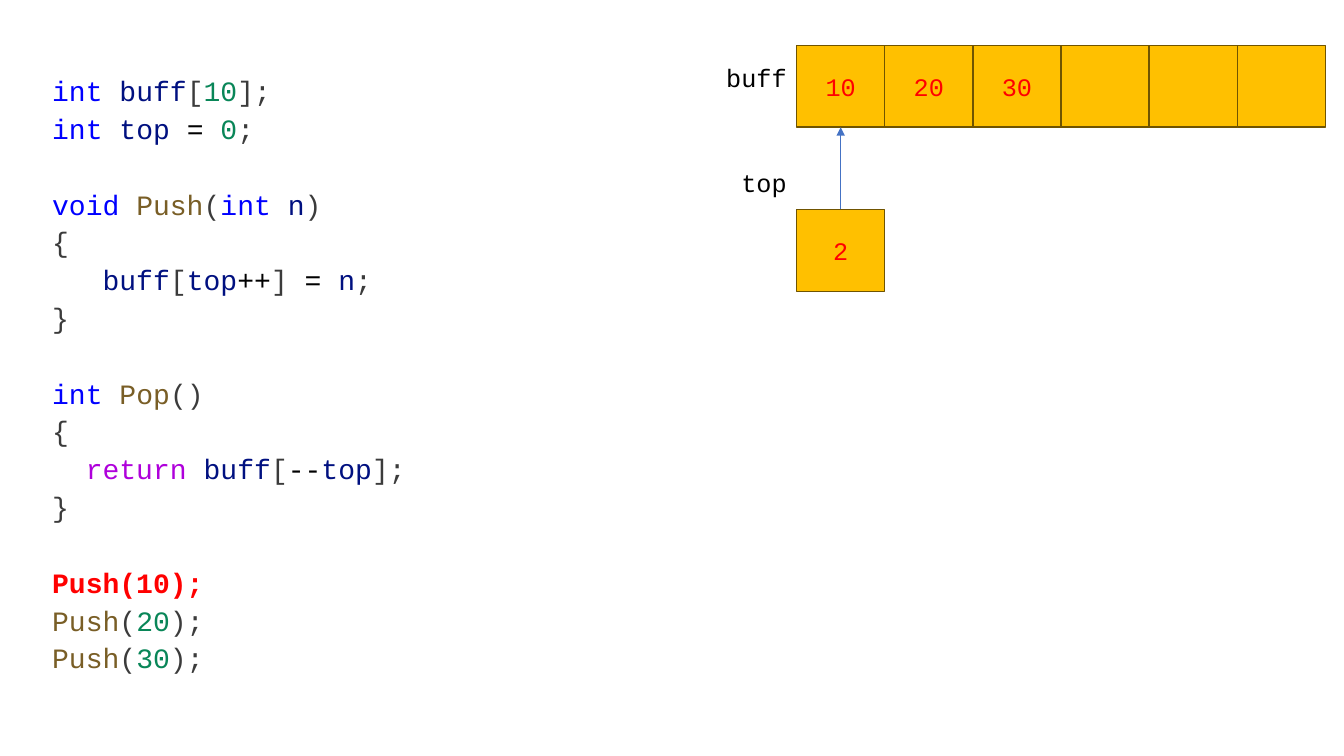
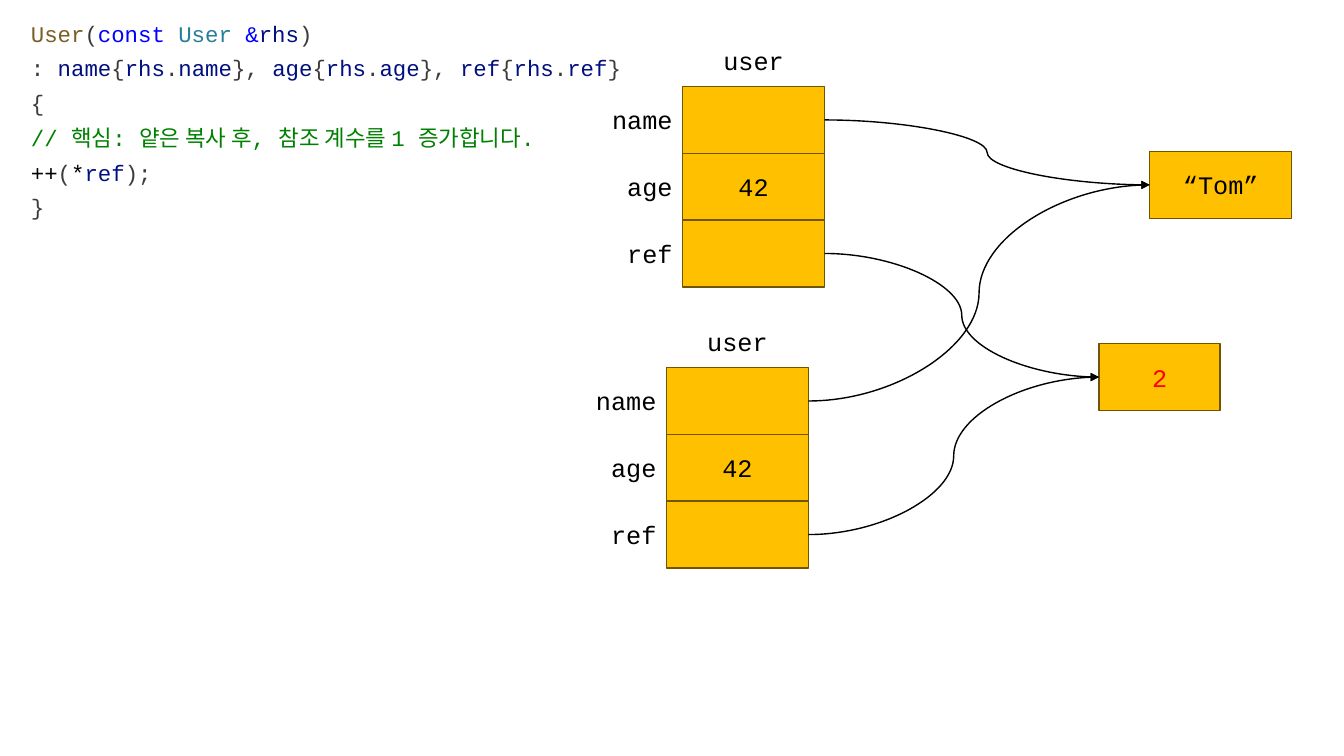
from typing import NamedTuple

from lxml import etree
from pptx import Presentation
from pptx.dml.color import RGBColor
from pptx.enum.shapes import MSO_CONNECTOR, MSO_SHAPE
from pptx.enum.text import MSO_ANCHOR, MSO_AUTO_SIZE, PP_ALIGN
from pptx.oxml.ns import qn
from pptx.shapes.autoshape import Shape
from pptx.slide import Slide
from pptx.util import Pt

STRAIGHT, CURVE = MSO_CONNECTOR.STRAIGHT, MSO_CONNECTOR.CURVE
RECTANGLE = MSO_SHAPE.RECTANGLE
MIDDLE = MSO_ANCHOR.MIDDLE
GROW = MSO_AUTO_SIZE.SHAPE_TO_FIT_TEXT
CENTER, RIGHT_ALIGN = PP_ALIGN.CENTER, PP_ALIGN.RIGHT
TOP_SIDE, LEFT_SIDE, BOTTOM_SIDE, RIGHT_SIDE = range(4)

FONT = "Courier New"
LABEL_SIZE = 18
LABEL_HEIGHT = 29
BLANK_LAYOUT = 6

# Diagram colours
BLACK = RGBColor(0x00, 0x00, 0x00)
RED = RGBColor(0xFF, 0x00, 0x00)
AMBER = RGBColor(0xFF, 0xC0, 0x00)
CELL_BORDER = RGBColor(0x70, 0x54, 0x00)
ARROW_BLUE = RGBColor(0x44, 0x72, 0xC4)

# Syntax colours
KEYWORD = RGBColor(0x00, 0x00, 0xFF)
CONTROL = RGBColor(0xAF, 0x00, 0xDB)
VARIABLE = RGBColor(0x00, 0x10, 0x80)
FUNCTION = RGBColor(0x79, 0x5E, 0x26)
CLASS = RGBColor(0x26, 0x7F, 0x99)
NUMBER = RGBColor(0x09, 0x86, 0x58)
COMMENT = RGBColor(0x00, 0x80, 0x00)
PUNCTUATION = RGBColor(0x3B, 0x3B, 0x3B)


class Box(NamedTuple):
    """A rectangular area, in points."""
    left: float
    top: float
    width: float
    height: float


class Token(NamedTuple):
    text: str
    color: RGBColor = PUNCTUATION
    bold: bool = False


class CodeLine(NamedTuple):
    tokens: list[Token]
    gap_before: bool = False


class UserObject(NamedTuple):
    """The cells of a user that point elsewhere."""
    name: Shape
    ref: Shape


def add_text_box(slide: Slide, box: Box) -> Shape:
    text_box = slide.shapes.add_textbox(*map(Pt, box))
    text_box.text_frame.word_wrap = True
    text_box.text_frame.auto_size = GROW
    return text_box


def write(shape: Shape, text: str, color: RGBColor, alignment: PP_ALIGN) -> None:
    shape.text_frame.text = text
    paragraph = shape.text_frame.paragraphs[0]
    paragraph.alignment = alignment
    paragraph.font.name = FONT
    paragraph.font.size = Pt(LABEL_SIZE)
    paragraph.font.color.rgb = color


def add_label(slide: Slide, box: Box, text: str, alignment: PP_ALIGN) -> None:
    write(add_text_box(slide, box), text, BLACK, alignment)


def add_cell(slide: Slide, box: Box, text: str = "", color: RGBColor = BLACK) -> Shape:
    cell = slide.shapes.add_shape(RECTANGLE, *map(Pt, box))
    cell.shadow.inherit = False
    cell.fill.solid()
    cell.fill.fore_color.rgb = AMBER
    cell.line.color.rgb = CELL_BORDER
    cell.line.width = Pt(1)
    cell.text_frame.vertical_anchor = MIDDLE
    if text:
        write(cell, text, color, CENTER)
    return cell


def add_arrow(slide: Slide, kind: MSO_CONNECTOR, source: Shape, source_side: int,
              target: Shape, target_side: int, color: RGBColor, width: float) -> None:
    arrow = slide.shapes.add_connector(kind, 0, 0, 0, 0)
    arrow.begin_connect(source, source_side)
    arrow.end_connect(target, target_side)
    arrow.line.color.rgb = color
    arrow.line.width = Pt(width)
    properties = arrow.element.spPr
    etree.SubElement(properties.find(qn("a:ln")), qn("a:tailEnd"), type="triangle")
    etree.SubElement(properties, qn("a:effectLst"))


def add_code(slide: Slide, box: Box, lines: list[CodeLine], size: float, spacing: float) -> None:
    frame = add_text_box(slide, box).text_frame
    for index, line in enumerate(lines):
        paragraph = frame.add_paragraph() if index else frame.paragraphs[0]
        paragraph.line_spacing = Pt(spacing)
        if line.gap_before:
            paragraph.space_before = Pt(spacing)
        for token in line.tokens:
            run = paragraph.add_run()
            run.text = token.text
            run.font.name = FONT
            run.font.size = Pt(size)
            run.font.color.rgb = token.color
            run.font.bold = token.bold


OPEN_BRACE = CodeLine([Token("{")])
CLOSE_BRACE = CodeLine([Token("}")])


# Slide 1: array stack
def push_call(value: str) -> CodeLine:
    return CodeLine([Token("Push", FUNCTION), Token("("), Token(value, NUMBER), Token(");")])


STACK_CODE = [
    CodeLine([Token("int ", KEYWORD), Token("buff", VARIABLE), Token("["),
              Token("10", NUMBER), Token("];")]),
    CodeLine([Token("int ", KEYWORD), Token("top ", VARIABLE), Token("= ", BLACK),
              Token("0", NUMBER), Token(";")]),
    CodeLine([Token("void ", KEYWORD), Token("Push", FUNCTION), Token("("),
              Token("int ", KEYWORD), Token("n", VARIABLE), Token(")")], gap_before=True),
    OPEN_BRACE,
    CodeLine([Token("   buff", VARIABLE), Token("["), Token("top", VARIABLE),
              Token("++", BLACK), Token("] "), Token("= ", BLACK),
              Token("n", VARIABLE), Token(";")]),
    CLOSE_BRACE,
    CodeLine([Token("int ", KEYWORD), Token("Pop", FUNCTION), Token("()")], gap_before=True),
    OPEN_BRACE,
    CodeLine([Token("  return ", CONTROL), Token("buff", VARIABLE), Token("["),
              Token("--", BLACK), Token("top", VARIABLE), Token("];")]),
    CLOSE_BRACE,
    CodeLine([Token("Push(10);", RED, bold=True)], gap_before=True),
    push_call("20"),
    push_call("30"),
]


def build_stack_slide(slide: Slide) -> None:
    add_code(slide, Box(30.2, 46, 479.5, 443), STACK_CODE, size=20, spacing=27)

    left, buff_top, top_top = 569, 32.4, 149.6
    cell_width, cell_height = 62.95, 58.5
    label_width = 116.5
    buff_cells = [
        add_cell(slide, Box(left + index * cell_width, buff_top, cell_width, cell_height),
                 value, RED)
        for index, value in enumerate(["10", "20", "30", "", "", ""])
    ]
    top_cell = add_cell(slide, Box(left, top_top, cell_width, cell_height), "2", RED)
    for name, label_top in (("buff", 41), ("top", 116)):
        add_label(slide, Box(left - label_width, label_top, label_width, LABEL_HEIGHT),
                  name, RIGHT_ALIGN)
    add_arrow(slide, STRAIGHT, top_cell, TOP_SIDE, buff_cells[0], BOTTOM_SIDE, ARROW_BLUE, 0.5)


# Slide 2: copy constructor with reference count
FIELD_WIDTH, FIELD_HEIGHT = 101.5, 47.7


def member_copy(member: str) -> list[Token]:
    return [Token(member, VARIABLE), Token("{"), Token("rhs", VARIABLE), Token("."),
            Token(member, VARIABLE)]


COPY_CODE = [
    CodeLine([Token("User", FUNCTION), Token("("), Token("const ", KEYWORD),
              Token("User ", CLASS), Token("&", KEYWORD), Token("rhs", VARIABLE), Token(")")]),
    CodeLine([Token(": "), *member_copy("name"), Token("}, "), *member_copy("age"),
              Token("}, "), *member_copy("ref"), Token("}")]),
    OPEN_BRACE,
    CodeLine([Token("// 핵심: 얕은 복사 후, 참조 계수를 1 증가합니다.", COMMENT)]),
    CodeLine([Token("++", BLACK), Token("("), Token("*", BLACK),
              Token("ref", VARIABLE), Token(");")]),
    CLOSE_BRACE,
]


def add_user(slide: Slide, left: float, top: float) -> UserObject:
    label_width = 83
    add_label(slide, Box(left, top - 33, FIELD_WIDTH, LABEL_HEIGHT), "user", CENTER)
    fields = {}
    for index, (name, value) in enumerate((("name", ""), ("age", "42"), ("ref", ""))):
        field_top = top + index * FIELD_HEIGHT
        fields[name] = add_cell(slide, Box(left, field_top, FIELD_WIDTH, FIELD_HEIGHT), value)
        add_label(slide, Box(left - label_width, field_top + 9.4, label_width, LABEL_HEIGHT),
                  name, RIGHT_ALIGN)
    return UserObject(fields["name"], fields["ref"])


def build_copy_slide(slide: Slide) -> None:
    users = [add_user(slide, 487.5, 61.8), add_user(slide, 476, 262.6)]
    shared_name = add_cell(slide, Box(821.2, 108.2, FIELD_WIDTH, FIELD_HEIGHT), "“Tom”")
    ref_count = add_cell(slide, Box(785, 245.5, 86.6, FIELD_HEIGHT), "2", RED)
    for user in users:
        for field, target in ((user.name, shared_name), (user.ref, ref_count)):
            add_arrow(slide, CURVE, field, RIGHT_SIDE, target, LEFT_SIDE, BLACK, 1)
    add_code(slide, Box(15, 5, 480, 157.7), COPY_CODE, size=16, spacing=24.8)


def main() -> None:
    presentation = Presentation()
    presentation.slide_width = Pt(960)
    presentation.slide_height = Pt(540)
    for build in (build_stack_slide, build_copy_slide):
        build(presentation.slides.add_slide(presentation.slide_layouts[BLANK_LAYOUT]))
    presentation.save("out.pptx")


if __name__ == "__main__":
    main()
